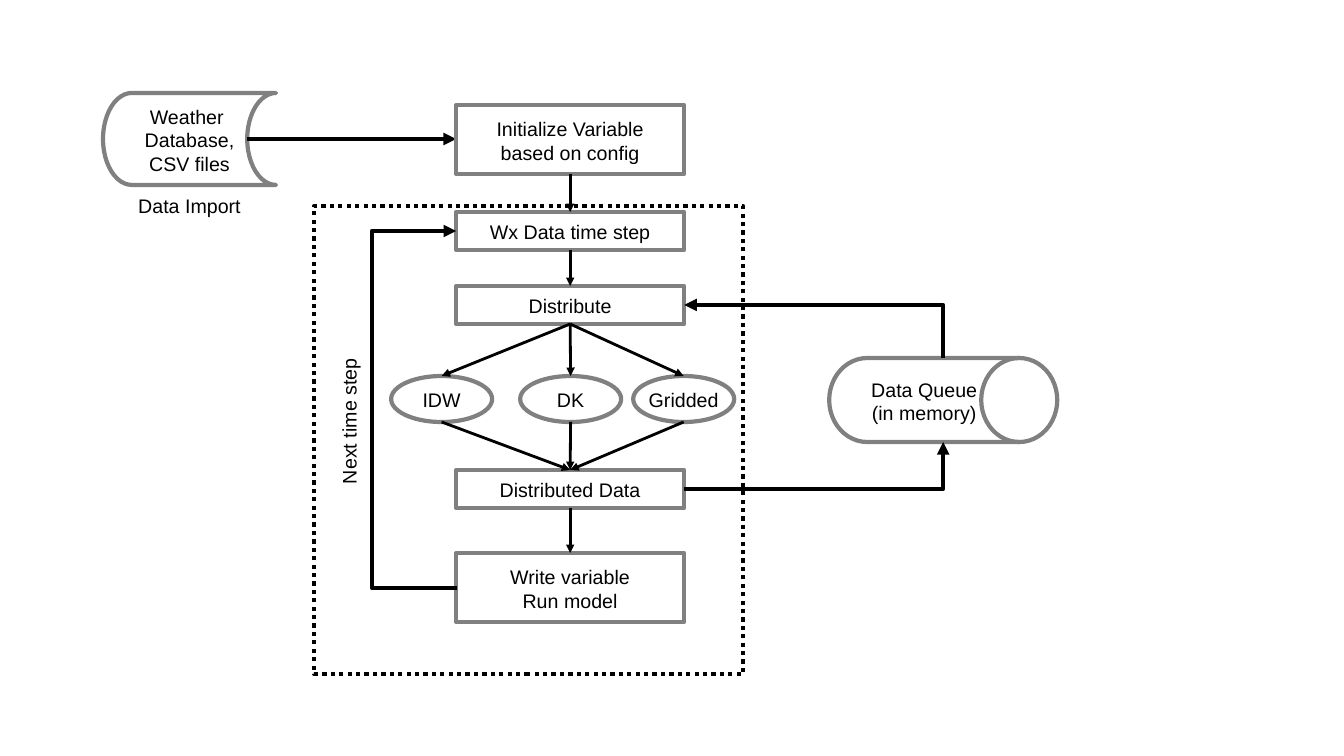
import pptx
import pptx.util
import pptx.dml.color
import pptx.enum.dml
import pptx.enum.shapes
import pptx.enum.text
import pptx.oxml
import pptx.oxml.ns

EMU_PER_PIXEL = 914400 / 100.8
COLORS = {"text": "000000", "arrow": "000000", "outline": "808080"}
FONT = "Arial"
SHAPES = pptx.enum.shapes.MSO_SHAPE
CONNECTORS = pptx.enum.shapes.MSO_CONNECTOR
ALIGN = pptx.enum.text.PP_ALIGN
TOP, BOTTOM = 0, 2  # connection sites of a box


def px(value):
    return pptx.util.Emu(round(value * EMU_PER_PIXEL))


def color(name):
    return pptx.dml.color.RGBColor.from_string(COLORS[name])


def write_text(shape, text, *, align=ALIGN.CENTER, wrap=False,
               anchor=pptx.enum.text.MSO_ANCHOR.MIDDLE):
    frame = shape.text_frame
    frame.word_wrap = wrap
    frame.vertical_anchor = anchor
    frame.margin_left = frame.margin_right = px(10)
    frame.margin_top, frame.margin_bottom = px(7), px(5)
    frame.text = text
    for paragraph in frame.paragraphs:
        paragraph.alignment = align
        font = paragraph.runs[0].font
        font.name, font.size = FONT, pptx.util.Pt(14)
        font.color.rgb = color("text")


def add_node(slide, kind, left, top, width, height, text="", *, line="outline"):
    shape = slide.shapes.add_shape(kind, px(left), px(top), px(width), px(height))
    shape.shadow.inherit = False
    shape.fill.background()
    shape.line.color.rgb = color(line)
    shape.line.width = pptx.util.Pt(3)
    if text:
        write_text(shape, text)
    return shape


def add_label(slide, left, top, width, height, text, *, rotation=0, align=ALIGN.CENTER):
    label = slide.shapes.add_textbox(px(left), px(top), px(width), px(height))
    label.rotation = rotation
    write_text(label, text, align=align, wrap=True,
               anchor=pptx.enum.text.MSO_ANCHOR.TOP)


def add_arrow(slide, begin, end, *, width, kind=CONNECTORS.STRAIGHT):
    arrow = slide.shapes.add_connector(kind, *map(round, begin + end))
    arrow.line.color.rgb = color("arrow")
    arrow.line.width = pptx.util.Pt(width)
    head = pptx.oxml.parse_xml(
        '<a:tailEnd %s type="triangle"/>' % pptx.oxml.ns.nsdecls("a"))
    arrow.line._get_or_add_ln().append(head)
    properties = arrow._element.spPr
    properties.append(pptx.oxml.parse_xml(
        "<a:effectLst %s/>" % pptx.oxml.ns.nsdecls("a")))
    return arrow


def add_flow(slide, source, target):
    """Straight arrow from the bottom of one node to the top of the next."""
    begin = (source.left + source.width / 2, source.top + source.height)
    end = (target.left + target.width / 2, target.top)
    arrow = add_arrow(slide, begin, end, width=2)
    if source.auto_shape_type == SHAPES.FLOWCHART_PROCESS:
        arrow.begin_connect(source, BOTTOM)
    arrow.end_connect(target, TOP)


def add_elbow(slide, begin, end, *, preset, quarter_turns=0, bend=None):
    """Bent arrow; its box is turned back so that the rotation lands on the ends."""
    center_x, center_y = (begin[0] + end[0]) / 2, (begin[1] + end[1]) / 2
    dx, dy = begin[0] - center_x, begin[1] - center_y
    for _ in range(-quarter_turns % 4):
        dx, dy = -dy, dx
    arrow = add_arrow(slide, (px(center_x + dx), px(center_y + dy)),
                      (px(center_x - dx), px(center_y - dy)),
                      width=3, kind=CONNECTORS.ELBOW)
    properties = arrow._element.spPr
    if quarter_turns:
        properties.find(pptx.oxml.ns.qn("a:xfrm")).set("rot", str(quarter_turns * 5400000))
    geometry = properties.find(pptx.oxml.ns.qn("a:prstGeom"))
    geometry.set("prst", preset)
    if bend is not None:
        adjustments = geometry.find(pptx.oxml.ns.qn("a:avLst"))
        adjustments.append(pptx.oxml.parse_xml(
            '<a:gd %s name="adj1" fmla="val %d"/>'
            % (pptx.oxml.ns.nsdecls("a"), bend * 100000)))


def main():
    presentation = pptx.Presentation()
    presentation.slide_width = pptx.util.Inches(13.33)
    presentation.slide_height = pptx.util.Inches(7.5)
    slide = presentation.slides.add_slide(presentation.slide_layouts[6])

    # Data import
    add_node(slide, SHAPES.FLOWCHART_STORED_DATA, 103, 93, 173, 92,
             "Weather \nDatabase,\nCSV files")
    add_label(slide, 103, 187, 173, 37, "Data Import")
    add_arrow(slide, (px(247), px(139)), (px(456), px(139)), width=3)

    # Process steps
    initialize, time_step, distribute, distributed, write_run = [
        add_node(slide, SHAPES.FLOWCHART_PROCESS, 456, top, 228, height, text)
        for top, height, text in (
            (105, 69, "Initialize Variable\nbased on config"),
            (212, 38, "Wx Data time step"),
            (286, 38, "Distribute"),
            (470, 38, "Distributed Data"),
            (553, 69, "Write variable\nRun model"))]

    # Distribution methods
    methods = [add_node(slide, SHAPES.OVAL, left, 376, 101, 46, text)
               for left, text in ((391, "IDW"), (520, "DK"), (633, "Gridded"))]

    # Data queue
    add_node(slide, SHAPES.FLOWCHART_DIRECT_ACCESS_STORAGE, 829, 358, 228, 84,
             "Data Queue\n(in memory)")

    # Downward flow
    flows = [(initialize, time_step), (time_step, distribute), (distributed, write_run)]
    flows += [(distribute, method) for method in methods]
    flows += [(method, distributed) for method in methods]
    for source, target in flows:
        add_flow(slide, source, target)

    # Loop back and queue exchange
    add_elbow(slide, (457, 588), (456, 231), preset="bentConnector3",
              quarter_turns=2, bend=86)
    add_elbow(slide, (684, 489), (943, 442), preset="bentConnector2")
    add_elbow(slide, (943, 358), (684, 305), preset="bentConnector2", quarter_turns=3)

    # Time step loop frame
    add_label(slide, 272, 402, 150, 34, "Next time step", rotation=270, align=ALIGN.LEFT)
    frame = add_node(slide, SHAPES.RECTANGLE, 314, 206, 429, 468, line="arrow")
    frame.line.dash_style = pptx.enum.dml.MSO_LINE.ROUND_DOT

    presentation.save("out.pptx")


main()
